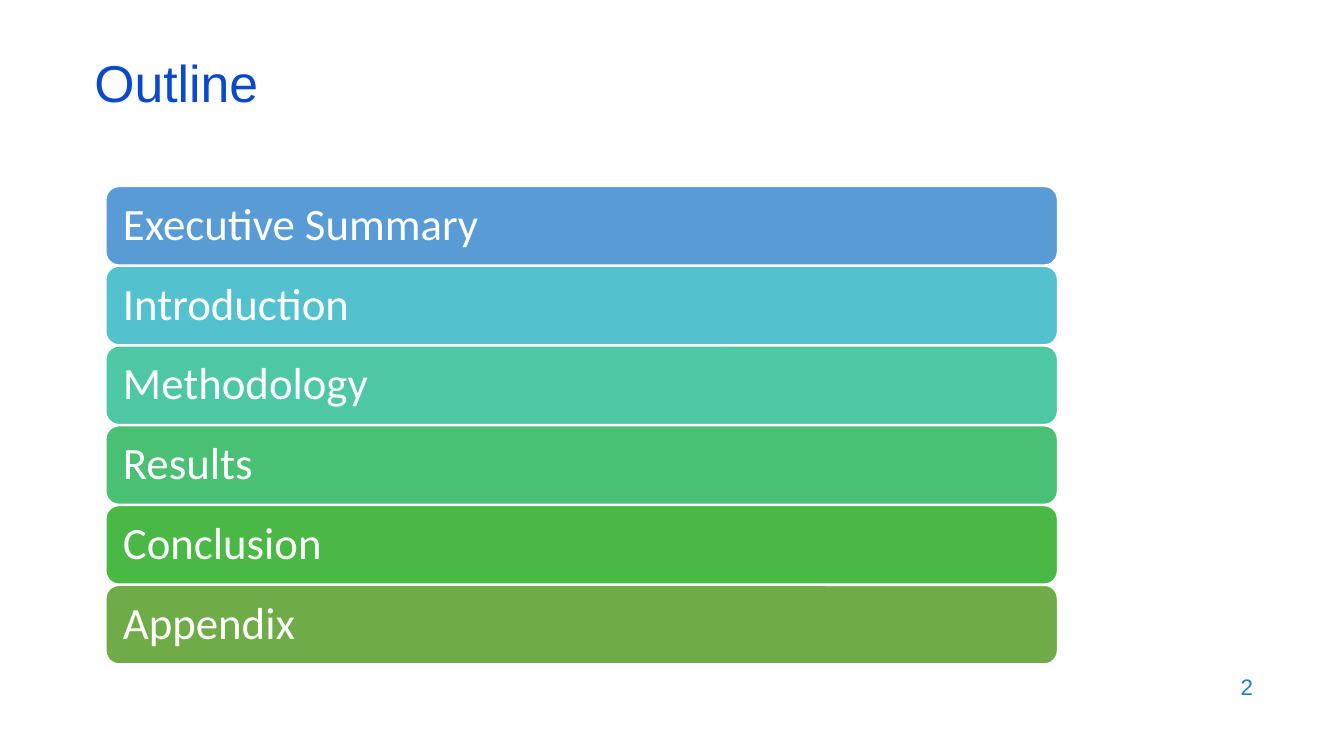
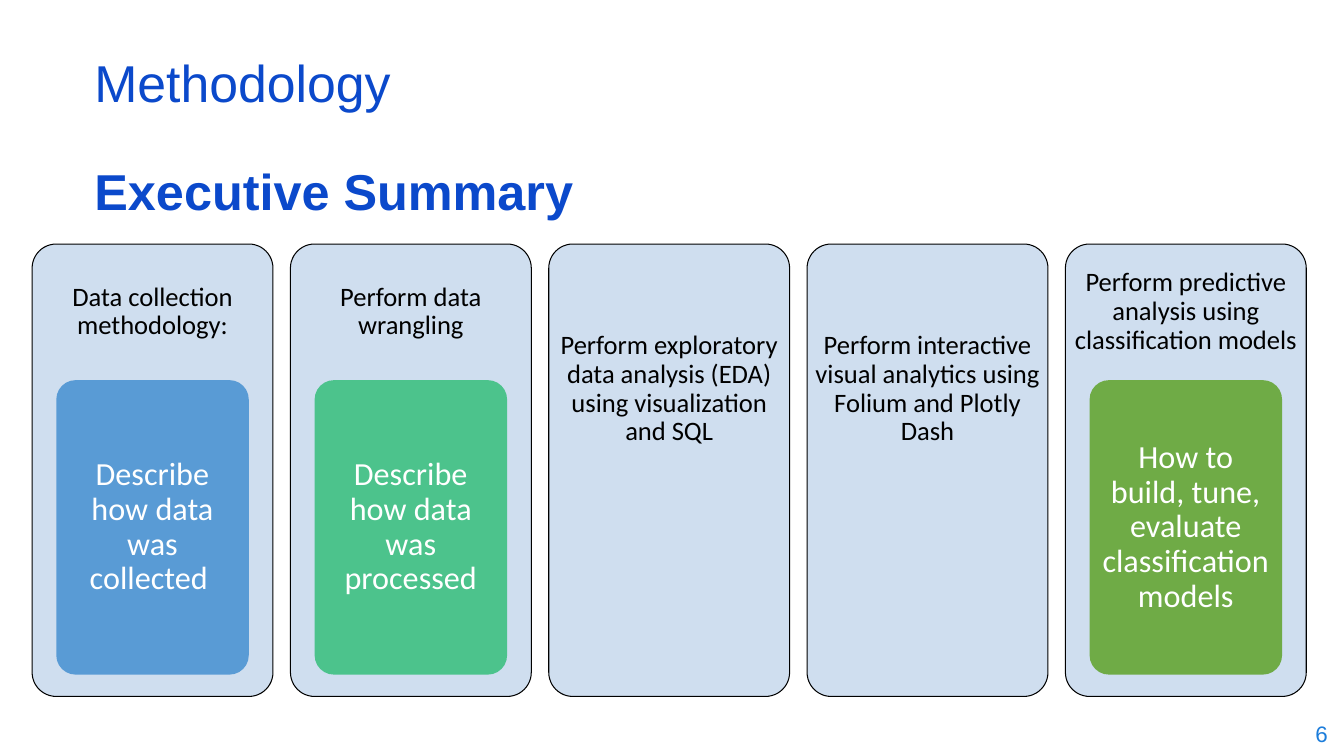
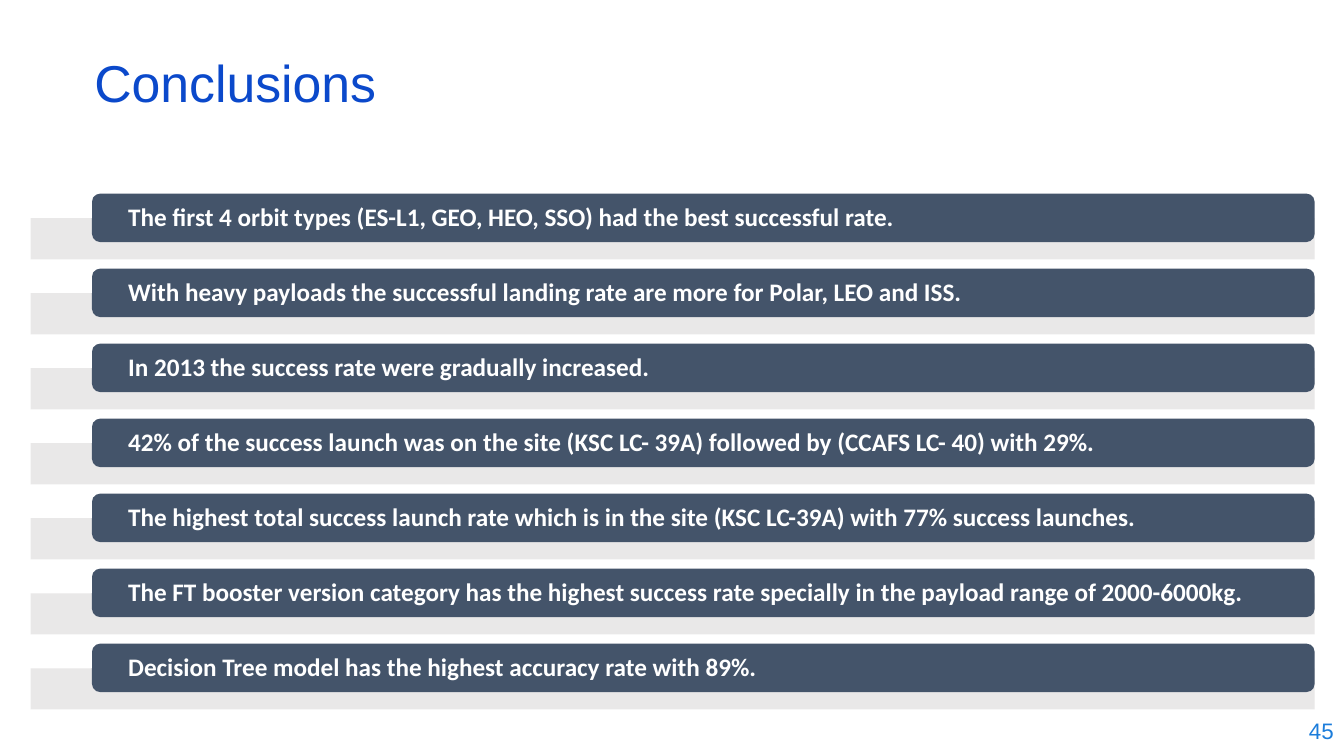
from lxml.etree import SubElement
from pptx import Presentation
from pptx.dml.color import RGBColor
from pptx.enum.shapes import MSO_SHAPE
from pptx.enum.text import MSO_ANCHOR, PP_ALIGN
from pptx.oxml.ns import qn
from pptx.util import Cm, Pt

# Content
OUTLINE = {
    "title": "Outline",
    "number": ("2", 24.21, 16.74),
    "chapters": [
        ("Executive Summary", "599BD5"),
        ("Introduction", "53C1CE"),
        ("Methodology", "4EC7A5"),
        ("Results", "49C073"),
        ("Conclusion", "49B845"),
        ("Appendix", "6FAB46"),
    ],
}

METHODOLOGY = {
    "title": "Methodology",
    "number": ("6", 26.09, 17.93),
    "subtitle": "Executive Summary",
    # heading, step inside the card, step colour
    "stages": [
        ("Data collection methodology:", "Describe how data was collected ", "599BD5"),
        ("Perform data wrangling", "Describe how data was processed", "4CC38C"),
        ("Perform exploratory data analysis (EDA) using visualization and SQL", None, None),
        ("Perform interactive visual analytics using Folium and Plotly Dash", None, None),
        ("Perform predictive analysis using classification models",
         "How to build, tune, evaluate classification models", "6FAB46"),
    ],
}

CONCLUSIONS = {
    "title": "Conclusions",
    "number": ("45", 26.24, 17.86),
    "findings": [
        "The first 4 orbit types (ES-L1, GEO, HEO, SSO) had the best successful rate.",
        "With heavy payloads the successful landing rate are more for Polar, LEO and ISS.",
        "In 2013 the success rate were gradually increased.",
        "42% of the success launch was on the site (KSC LC- 39A) followed by (CCAFS LC- 40) with 29%.",
        "The highest total success launch rate which is in the site (KSC LC-39A) with 77% success launches.",
        "The FT booster version category has the highest success rate specially in the payload range of 2000-6000kg.",
        "Decision Tree model has the highest accuracy rate with 89%.",
    ],
}

# Theme: colours and text styles
THEME = {
    "white": "FFFFFF",
    "black": "000000",
    "card": "CFDEEF",
    "finding": "44546A",
    "track": "E7E6E6",
    "title": {"name": "Arial", "size": 37, "color": "0B49CB", "spacing": 0.7},
    "subtitle": {"name": "Arial", "size": 36, "color": "0B49CB", "bold": True, "spacing": 1.2},
    "number": {"name": "Arial", "size": 16, "color": "1C7DDB", "align": PP_ALIGN.RIGHT},
    "chapter": {"name": "Calibri", "size": 32, "color": "FFFFFF", "spacing": 0.9},
    "heading": {"name": "Calibri", "size": 19, "color": "000000", "spacing": 0.9,
                "align": PP_ALIGN.CENTER},
    "step": {"name": "Calibri", "size": 23, "color": "FFFFFF", "spacing": 0.9,
             "align": PP_ALIGN.CENTER},
    "result": {"name": "Calibri", "size": 18, "color": "FFFFFF", "bold": True, "spacing": 0.9},
}
CORNER_SHARE = 0.29  # part of a corner radius that a rounded box keeps free of text


# Helpers: all lengths in centimetres
def write(shape, text, style, pads, anchor=MSO_ANCHOR.MIDDLE):
    frame = shape.text_frame
    left, top, right, bottom = (Cm(max(0, pad)) for pad in pads)
    settings = {"word_wrap": True, "vertical_anchor": anchor, "margin_left": left,
                "margin_top": top, "margin_right": right, "margin_bottom": bottom}
    for key, value in settings.items():
        setattr(frame, key, value)
    paragraph = frame.paragraphs[0]
    paragraph.alignment = style.get("align", PP_ALIGN.LEFT)
    paragraph.line_spacing = style.get("spacing", 1.0)
    run = paragraph.add_run()
    run.text = text
    looks = {"name": style["name"], "size": Pt(style["size"]), "bold": style.get("bold", False)}
    for key, value in looks.items():
        setattr(run.font, key, value)
    run.font.color.rgb = RGBColor.from_string(style["color"])


def add_label(slide, box, text, style, anchor=MSO_ANCHOR.MIDDLE):
    label = slide.shapes.add_textbox(*map(Cm, box))
    write(label, text, style, (0.25, 0.13, 0.25, 0.13), anchor)


def add_block(slide, box, fill, line=None, preset=MSO_SHAPE.RECTANGLE):
    block = slide.shapes.add_shape(preset, *map(Cm, box))
    block.shadow.inherit = False
    block.fill.solid()
    block.fill.fore_color.rgb = RGBColor.from_string(fill)
    if line:
        color, width = line
        block.line.color.rgb = RGBColor.from_string(color)
        block.line.width = Pt(width)
    else:
        block.line.fill.background()
    return block


def add_rounded(slide, box, fill, text, style, pads, corner=0.167, line=None):
    block = add_block(slide, box, fill, line, MSO_SHAPE.ROUNDED_RECTANGLE)
    block.adjustments[0] = corner
    kept_free = CORNER_SHARE * corner * min(box[2:])
    write(block, text, style, [pad - kept_free for pad in pads])


def start_slide(deck, content):
    slide = deck.slides.add_slide(deck.slide_layouts[6])
    add_label(slide, (2.13, 1.5, 29.21, 1.52), content["title"], THEME["title"])
    number, left, top = content["number"]
    add_label(slide, (left, top, 7.62, 1.12), number, THEME["number"])
    return slide


# Slides
def build_outline(deck):
    slide = start_slide(deck, OUTLINE)
    for row, (chapter, color) in enumerate(OUTLINE["chapters"]):
        add_rounded(slide, (2.67, 4.7 + row * 2.01, 23.98, 1.98), color, chapter,
                    THEME["chapter"], (0.43, 0.1, 0.43, 0.1), line=(THEME["white"], 1))


def build_methodology(deck):
    slide = start_slide(deck, METHODOLOGY)
    add_label(slide, (2.13, 3.61, 16.94, 1.98), METHODOLOGY["subtitle"],
              THEME["subtitle"], MSO_ANCHOR.TOP)
    width, inset = 6.07, 0.61
    for column, (heading, step, color) in enumerate(METHODOLOGY["stages"]):
        left = 0.81 + column * 6.51
        below_heading = 8.18 if step else 4.29
        add_rounded(slide, (left, 6.15, width, 11.4), THEME["card"], heading, THEME["heading"],
                    (0.2, 0.2, 0.2, below_heading), 0.1, (THEME["black"], 0.75))
        if step:
            add_rounded(slide, (left + inset, 9.58, width - 2 * inset, 7.42), color, step,
                        THEME["step"], (0.3, 0.25, 0.3, 0.25), 0.1)


def build_conclusions(deck):
    slide = start_slide(deck, CONCLUSIONS)
    for row, finding in enumerate(CONCLUSIONS["findings"]):
        top = 4.88 + row * 1.89
        track = add_block(slide, (0.77, top + 0.62, 32.36, 1.04), THEME["track"])
        tint = track._element.spPr.find(".//" + qn("a:srgbClr"))
        SubElement(tint, qn("a:alpha"), val="90000")
        add_rounded(slide, (2.32, top, 30.81, 1.22), THEME["finding"], finding,
                    THEME["result"], (0.91, 0, 0.91, 0))


def main():
    deck = Presentation()
    deck.slide_width, deck.slide_height = Cm(33.87), Cm(19.05)
    build_outline(deck)
    build_methodology(deck)
    build_conclusions(deck)
    deck.save("out.pptx")


if __name__ == "__main__":
    main()
